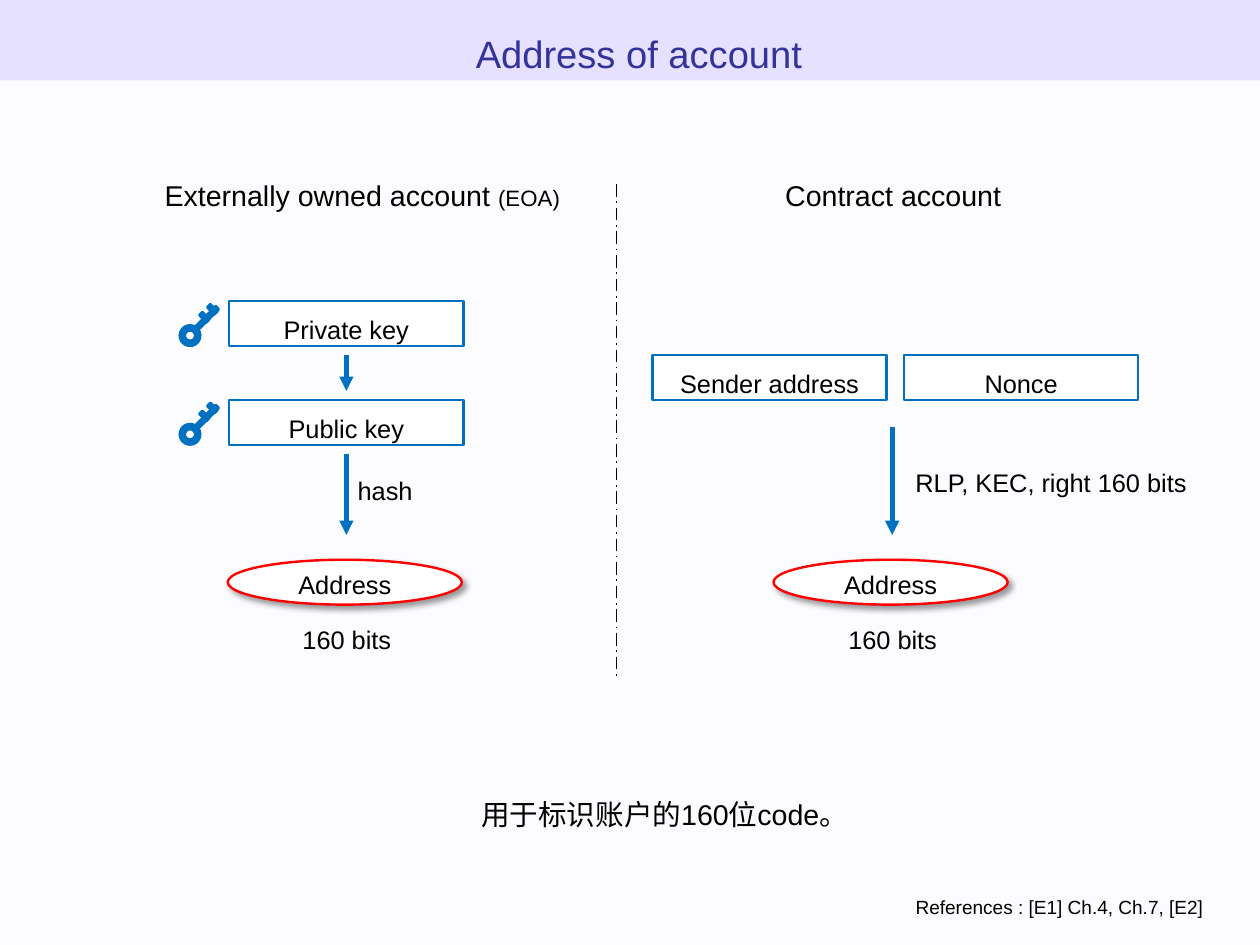
from lxml import etree
from pptx import Presentation
from pptx.dml.color import RGBColor
from pptx.enum import dml, shapes, text
from pptx.oxml import ns
from pptx.util import Pt

PAGE_WIDTH, PAGE_HEIGHT = 793.7, 595.28
BLUE, RED, BLACK, WHITE = "0070C0", "FF0000", "000000", "FFFFFF"
LEFT, CENTER, RIGHT = text.PP_ALIGN.LEFT, text.PP_ALIGN.CENTER, text.PP_ALIGN.RIGHT
TOP, MIDDLE = text.MSO_ANCHOR.TOP, text.MSO_ANCHOR.MIDDLE
RECT, OVAL = shapes.MSO_SHAPE.RECTANGLE, shapes.MSO_SHAPE.OVAL
BOX_WIDTH, BOX_HEIGHT = 147.5, 28.3


def color(value):
    return RGBColor.from_string(value)


def points(*values):
    return [Pt(value) for value in values]


def add_xml(parent, tag, **attributes):
    return etree.SubElement(parent, ns.qn(tag), attributes)


def write(shape, words, size=16, align=CENTER, anchor=MIDDLE, fill=BLACK):
    """Put one paragraph into a shape; words is a string or (string, size) spans."""
    frame = shape.text_frame
    frame.word_wrap = True
    frame.auto_size = text.MSO_AUTO_SIZE.NONE
    frame.vertical_anchor = anchor
    para = frame.paragraphs[0]
    para.alignment = align
    para.line_spacing = 1.17
    spans = [(words, size)] if isinstance(words, str) else words
    for content, span_size in spans:
        span = para.add_run()
        span.text = content
        span.font.name = "Arial"
        span.font.size = Pt(span_size)
        span.font.color.rgb = color(fill)


def label(page, box, words, size=16, align=CENTER, anchor=MIDDLE):
    write(page.shapes.add_textbox(*points(*box)), words, size, align, anchor)


def outlined(parent, kind, box, fill, line, weight=1.5):
    shape = parent.shapes.add_shape(kind, *points(*box))
    shape.shadow.inherit = False
    shape.fill.solid()
    shape.fill.fore_color.rgb = color(fill)
    shape.line.color.rgb = color(line)
    shape.line.width = Pt(weight)
    return shape


def straight_line(page, start, end, line, weight):
    connector = page.shapes.add_connector(
        shapes.MSO_CONNECTOR.STRAIGHT, *points(*start, *end))
    connector.line.color.rgb = color(line)
    connector.line.width = Pt(weight)
    add_xml(connector._element.spPr, "a:effectLst")
    return connector


def down_arrow(page, x, top, bottom):
    arrow = straight_line(page, (x, top), (x, bottom), BLUE, 3)
    add_xml(arrow.line._get_or_add_ln(), "a:tailEnd", type="triangle")


def input_box(page, left, top, words):
    shape = outlined(page, RECT, (left, top, BOX_WIDTH, BOX_HEIGHT), WHITE, BLUE)
    write(shape, words)
    shape.text_frame.margin_top, shape.text_frame.margin_bottom = points(3.6, 0)


def key_icon(page, left, top):
    group = page.shapes.add_group_shape()
    parts = [
        (OVAL, 0, 15.1, 13, 13, 315, BLUE),         # bow
        (OVAL, 3.25, 18.35, 6.5, 6.5, 315, WHITE),  # hole
        (RECT, 7.2, 9.4, 19.4, 2.9, 315, BLUE),     # shaft
        (RECT, 17.3, 3.6, 6.5, 2.9, 45, BLUE),      # teeth
        (RECT, 12.3, 8.6, 6.5, 2.9, 45, BLUE),
    ]
    for kind, x, y, width, height, angle, fill in parts:
        part = outlined(group, kind, (left + x, top + y, width, height), fill, BLUE)
        part.rotation = angle


def address_result(page, centre, top):
    """Red address ellipse with its length below."""
    ellipse = outlined(page, OVAL, (centre - BOX_WIDTH / 2, top, BOX_WIDTH, BOX_HEIGHT),
                       WHITE, RED)
    write(ellipse, "Address")
    ellipse.text_frame.margin_top = ellipse.text_frame.margin_bottom = 0
    effects = ellipse._element.spPr.find(ns.qn("a:effectLst"))
    shadow = add_xml(effects, "a:outerShdw", blurRad=str(Pt(4)), dist=str(Pt(3)),
                     dir="2700000", algn="tl", rotWithShape="0")
    add_xml(add_xml(shadow, "a:srgbClr", val=BLACK), "a:alpha", val="40000")
    label(page, (centre - 58.2, top + 32.6, 119, 31.7), "160 bits")


def header(page, box):
    left, top, width, height = box
    band = outlined(page, RECT, box, "E6E1FF", "E6E1FF")
    band.line.fill.background()
    page.shapes._spTree.insert(2, band._element)
    title = page.shapes.title
    title.left, title.top, title.width, title.height = points(
        left + 28.3, top + 10.8, width - 45.4, 68.4)
    write(title, "Address of account", 24, anchor=TOP, fill="333399")


def owned_account(page, box):
    left, top, width, height = box
    centre = left + 127.5
    label(page, (left, top, width, 34),
          [("Externally owned account ", 18), ("(EOA)", 14)], anchor=TOP)
    # Key pair
    for words, offset in (("Private key", 84.8), ("Public key", 147)):
        input_box(page, left + 53.7, top + offset, words)
        key_icon(page, left + 22.5, top + offset)
    down_arrow(page, centre, top + 118.7, top + 141.2)
    # Hash step
    down_arrow(page, centre, top + 181.2, top + 232)
    label(page, (centre, top + 186.6, 73.4, 31.7), "hash", align=LEFT)
    address_result(page, centre - 1, top + 247.6)


def contract_account(page, box):
    left, top, width, height = box
    centre = left + 151
    label(page, (centre - 108.4, top, 218, 34), "Contract account", 18, anchor=TOP)
    # Inputs
    input_box(page, left, top + 118.8, "Sender address")
    input_box(page, left + width - BOX_WIDTH, top + 118.8, "Nonce")
    # Derivation step
    down_arrow(page, centre, top + 164, top + 232)
    label(page, (centre + 7.6, top + 181.2, 193, 31.7),
          "RLP, KEC, right 160 bits", align=LEFT)
    address_result(page, centre - 1, top + 247.6)


def footer(page, box):
    left, top, width, height = box
    label(page, (left + 129.6, top, 510.5, 34), "用于标识账户的160位code。", 18, anchor=TOP)
    label(page, (left, top + height - 26.6, width, 26.6),
          "References : [E1] Ch.4, Ch.7, [E2]", 12, RIGHT, TOP)


def main():
    deck = Presentation()
    deck.slide_width, deck.slide_height = points(PAGE_WIDTH, PAGE_HEIGHT)
    page = deck.slides.add_slide(deck.slide_layouts[5])
    page.background.fill.solid()
    page.background.fill.fore_color.rgb = color("FCFCFF")

    header(page, (0, 0, PAGE_WIDTH, 50.7))
    owned_account(page, (90.7, 105, 275, 312))
    contract_account(page, (411, 105, 306, 312))
    # Divider between the two account types
    divider = straight_line(page, (388.3, 116), (388.3, 427.7), BLACK, 1)
    divider.line.dash_style = dml.MSO_LINE.LONG_DASH_DOT
    footer(page, (33.8, 494.6, 731.5, 90.2))

    deck.save("out.pptx")


if __name__ == "__main__":
    main()
